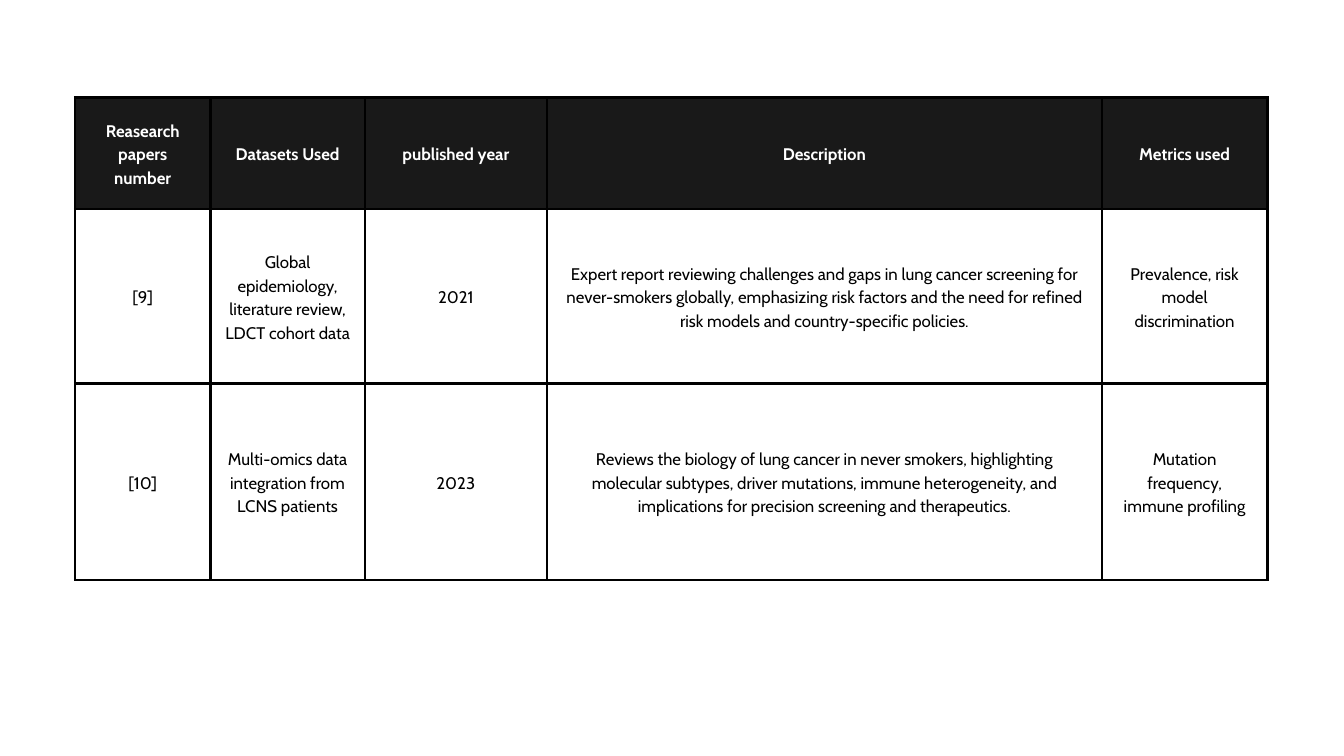
from lxml.etree import SubElement
from pptx import Presentation
from pptx.dml.color import RGBColor
from pptx.enum.text import MSO_ANCHOR, PP_ALIGN
from pptx.oxml.ns import qn
from pptx.util import Cm, Pt

# Content
HEADER = ["Reasearch papers number", "Datasets Used", "published year", "Description", "Metrics used"]
PAPERS = [
    ["[9]", "Global epidemiology, literature review, LDCT cohort data", "2021",
     "Expert report reviewing challenges and gaps in lung cancer screening for never-smokers "
     "globally, emphasizing risk factors and the need for refined risk models and "
     "country-specific policies.",
     "Prevalence, risk model discrimination"],
    ["[10]", "Multi-omics data integration from LCNS patients", "2023",
     "Reviews the biology of lung cancer in never smokers, highlighting molecular subtypes, "
     "driver mutations, immune heterogeneity, and implications for precision screening and "
     "therapeutics.",
     "Mutation frequency, immune profiling"],
]

# Theme and layout, lengths in centimetres
THEME = {
    "font": "Cabin", "size": Pt(18), "leading": Pt(25.2), "border": Pt(3),
    "black": "000000", "white": "FFFFFF", "header": "191919",
}
SLIDE_SIZE = (50.8, 28.58)
TABLE_ORIGIN = (2.84, 3.68)
COLUMN_WIDTHS = [5.11, 5.84, 6.88, 20.98, 6.25]
ROW_HEIGHTS = [4.22, 6.6, 7.42]
INSET = Cm(0.53)


def apply(target, values):
    for name, value in values.items():
        setattr(target, name, value)


def add_borders(cell):
    properties = cell._tc.get_or_add_tcPr()
    for side in ("lnL", "lnR", "lnT", "lnB"):
        line = SubElement(properties, qn(f"a:{side}"), w=str(THEME["border"]))
        fill = SubElement(line, qn("a:solidFill"))
        SubElement(fill, qn("a:srgbClr"), val=THEME["black"])


def format_cell(cell, text, is_header):
    apply(cell, {
        "text": text, "vertical_anchor": MSO_ANCHOR.MIDDLE,
        "margin_left": INSET, "margin_right": INSET,
        "margin_top": INSET, "margin_bottom": INSET,
    })
    add_borders(cell)
    if is_header:
        cell.fill.solid()
        cell.fill.fore_color.rgb = RGBColor.from_string(THEME["header"])
    else:
        cell.fill.background()

    para = cell.text_frame.paragraphs[0]
    apply(para, {"alignment": PP_ALIGN.CENTER, "line_spacing": THEME["leading"]})
    font = para.runs[0].font
    apply(font, {"name": THEME["font"], "size": THEME["size"], "bold": is_header})
    font.color.rgb = RGBColor.from_string(THEME["white" if is_header else "black"])


def add_papers_table(page):
    rows = [HEADER, *PAPERS]
    left, top = TABLE_ORIGIN
    table = page.shapes.add_table(
        len(rows), len(HEADER), Cm(left), Cm(top),
        Cm(sum(COLUMN_WIDTHS)), Cm(sum(ROW_HEIGHTS))).table
    for column, width in zip(table.columns, COLUMN_WIDTHS):
        column.width = Cm(width)
    for row, height in zip(table.rows, ROW_HEIGHTS):
        row.height = Cm(height)
    for row_index, texts in enumerate(rows):
        for column_index, text in enumerate(texts):
            format_cell(table.cell(row_index, column_index), text, row_index == 0)


def main():
    deck = Presentation()
    deck.slide_width, deck.slide_height = map(Cm, SLIDE_SIZE)
    # The slide has no title, so it uses the blank layout
    page = deck.slides.add_slide(deck.slide_layouts[6])
    add_papers_table(page)
    deck.save("out.pptx")


if __name__ == "__main__":
    main()
